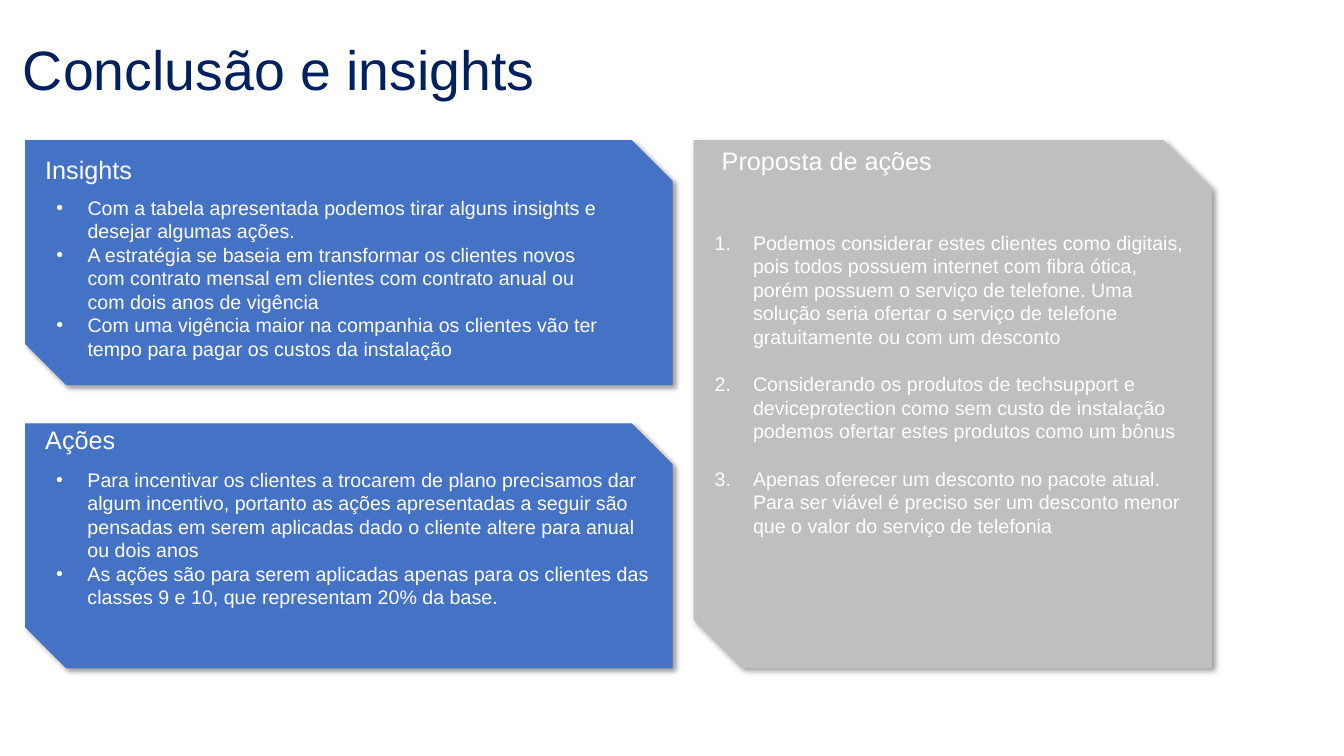
from lxml.etree import SubElement
from pptx import Presentation
from pptx.dml.color import RGBColor
from pptx.enum.shapes import MSO_SHAPE
from pptx.enum.text import MSO_ANCHOR, MSO_AUTO_SIZE
from pptx.oxml.ns import qn
from pptx.util import Inches, Pt

COLORS = {"navy": "002060", "blue": "4472C4", "gray": "BFBFBF",
          "white": "FFFFFF", "black": "000000"}

INSIGHTS = [
    "Com a tabela apresentada podemos tirar alguns insights e desejar algumas ações.",
    "A estratégia se baseia em transformar os clientes novos com contrato mensal "
    "em clientes com contrato anual ou com dois anos de vigência",
    "Com uma vigência maior na companhia os clientes vão ter tempo para pagar os "
    "custos da instalação",
]
ACTIONS = [
    "Para incentivar os clientes a trocarem de plano precisamos dar algum incentivo, "
    "portanto as ações apresentadas a seguir são pensadas em serem aplicadas dado o "
    "cliente altere para anual ou dois anos",
    "As ações são para serem aplicadas apenas para os clientes das classes 9 e 10, "
    "que representam 20% da base.",
]
PROPOSALS = [
    "Podemos considerar estes clientes como digitais, pois todos possuem internet com "
    "fibra ótica, porém possuem o serviço de telefone. Uma solução seria ofertar o "
    "serviço de telefone gratuitamente ou com um desconto",
    "Considerando os produtos de techsupport e deviceprotection como sem custo de "
    "instalação podemos ofertar estes produtos como um bônus",
    "Apenas oferecer um desconto no pacote atual. Para ser viável é preciso ser um "
    "desconto menor que o valor do serviço de telefonia",
]


class SlideBuilder:
    """Holds the style and the current slide."""

    font = "Arial"
    heading_size, body_size = 18, 14

    def __init__(self, slide):
        """Keep the slide to draw on."""
        self.slide = slide

    def text(self, box, lines, size, color="white"):
        """Add a wrapping text box with one paragraph per line."""
        shape = self.slide.shapes.add_textbox(*map(Inches, box))
        frame = shape.text_frame
        frame.word_wrap = True
        frame.text = "\n".join(lines)
        for paragraph in frame.paragraphs:
            font = paragraph.runs[0].font
            font.name, font.size = self.font, Pt(size)
            font.color.rgb = RGBColor.from_string(COLORS[color])
        return frame

    def title(self, box, title):
        """Add the slide title."""
        frame = self.text(box, [title], 39.6, "navy")
        frame.vertical_anchor = MSO_ANCHOR.MIDDLE
        frame.paragraphs[0].line_spacing = 0.7

    def heading(self, left, top, heading):
        """Add a panel heading."""
        frame = self.text((left, top, 2.38, 0.4), [heading], self.heading_size)
        frame.auto_size = MSO_AUTO_SIZE.SHAPE_TO_FIT_TEXT

    def items(self, box, items, numbered=False):
        """Add a bulleted list, or a numbered one with a line between items."""
        frame = self.text(box, items, self.body_size)
        frame.auto_size = MSO_AUTO_SIZE.SHAPE_TO_FIT_TEXT
        indent = Inches(0.38 if numbered else 0.31)
        for paragraph in frame.paragraphs:
            if numbered and paragraph.text != items[-1]:
                paragraph.space_after = Pt(17)
            properties = paragraph._p.get_or_add_pPr()
            properties.set("marL", str(indent))
            properties.set("indent", str(-indent))
            SubElement(properties, qn("a:buFont"), typeface=self.font)
            if numbered:
                SubElement(properties, qn("a:buAutoNum"), type="arabicPeriod")
            else:
                SubElement(properties, qn("a:buChar"), char="•")

    def panel(self, box, color, snip=0.167):
        """Add a panel with two snipped corners and a soft shadow."""
        shape = self.slide.shapes.add_shape(MSO_SHAPE.SNIP_2_DIAG_RECTANGLE,
                                            *map(Inches, box))
        shape.adjustments[0], shape.adjustments[1] = 0, snip
        shape.fill.solid()
        shape.fill.fore_color.rgb = RGBColor.from_string(COLORS[color])
        shape.line.fill.background()
        shape.shadow.inherit = False
        effects = shape._element.spPr.find(qn("a:effectLst"))
        shadow = SubElement(effects, qn("a:outerShdw"), blurRad=str(Pt(4)),
                            dist=str(Pt(3)), dir=str(45 * 60000),
                            algn="tl", rotWithShape="0")
        tint = SubElement(shadow, qn("a:srgbClr"), val=COLORS["black"])
        SubElement(tint, qn("a:alpha"), val="40000")


def main():
    """Build and save the presentation."""
    presentation = Presentation()
    presentation.slide_width = Inches(13.33)
    presentation.slide_height = Inches(7.5)
    builder = SlideBuilder(presentation.slides.add_slide(presentation.slide_layouts[6]))

    builder.title((0.13, 0.45, 6.26, 0.61), "Conclusão e insights")

    builder.panel((0.25, 1.39, 6.42, 2.43), "blue")
    builder.heading(0.35, 1.48, "Insights")
    builder.items((0.46, 1.89, 5.61, 1.75), INSIGHTS)

    builder.panel((0.25, 4.2, 6.42, 2.43), "blue")
    builder.heading(0.35, 4.16, "Ações")
    builder.items((0.46, 4.59, 6.2, 1.51), ACTIONS)

    builder.panel((6.88, 1.39, 5.14, 5.24), "gray", snip=0.094)
    builder.heading(7.06, 1.39, "Proposta de ações")
    builder.items((6.99, 2.24, 4.88, 3.16), PROPOSALS, numbered=True)

    presentation.save("out.pptx")


main()
